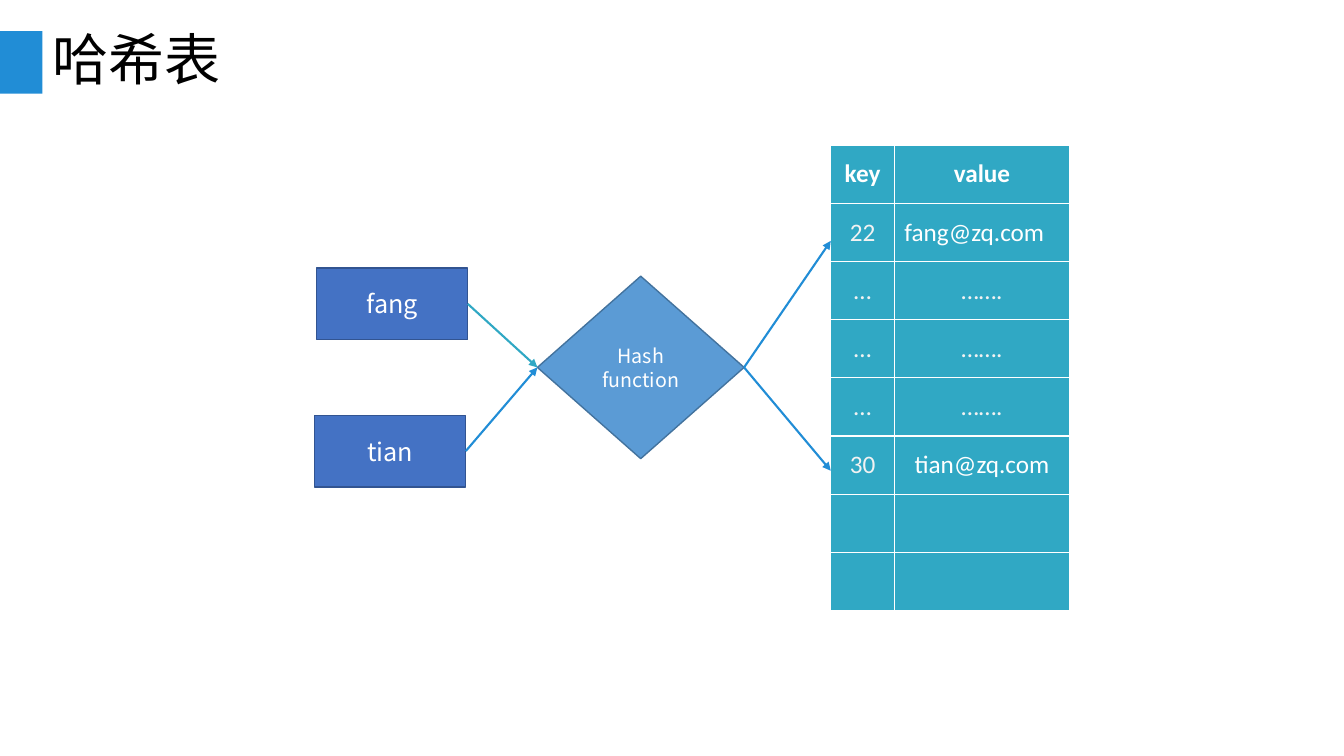
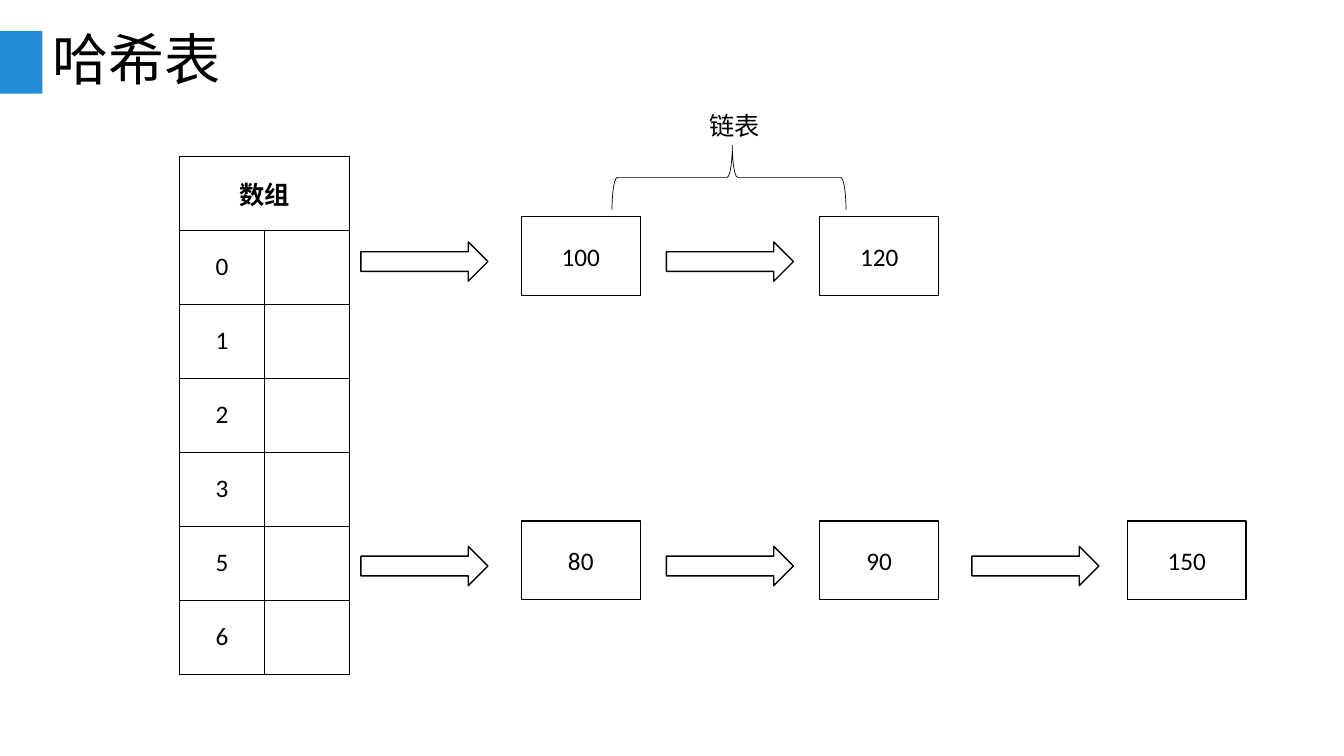
"""Build two slides that explain hash tables: key lookup and chained buckets."""
from lxml import etree
from pptx import Presentation
from pptx.dml.color import RGBColor
from pptx.enum.shapes import MSO_CONNECTOR, MSO_SHAPE
from pptx.enum.text import MSO_ANCHOR, MSO_AUTO_SIZE, PP_ALIGN
from pptx.oxml.ns import qn
from pptx.util import Inches, Pt

LEFT, CENTER = PP_ALIGN.LEFT, PP_ALIGN.CENTER
TOP, MIDDLE = MSO_ANCHOR.TOP, MSO_ANCHOR.MIDDLE
RECT, DIAMOND = MSO_SHAPE.RECTANGLE, MSO_SHAPE.DIAMOND
ARROW, BRACE = MSO_SHAPE.RIGHT_ARROW, MSO_SHAPE.LEFT_BRACE
STRAIGHT = MSO_CONNECTOR.STRAIGHT
NO_FIT = MSO_AUTO_SIZE.NONE
LEFT_SITE, RIGHT_SITE = 1, 3

SANS, LATIN = "Noto Sans CJK SC", "Calibri"
COLORS = {
    "accent": "218DD6", "teal": "30A8C4", "key": "4472C4", "key_edge": "325491",
    "hash": "5B9BD5", "hash_edge": "43739E", "white": "FFFFFF",
    "pale": "F2F2F2", "black": "000000",
}

TITLE = "哈希表"
KEYS = [("fang", 3.14, 2.66, "teal"), ("tian", 3.12, 4.12, "accent")]
HASH_LABEL = "Hash function"
LOOKUP = [
    ("key", "value"),
    ("22", "fang@zq.com"),
    ("…", "……."),
    ("…", "……."),
    ("…", "……."),
    ("30", "tian@zq.com"),
    ("", ""),
    ("", ""),
]
LOOKUP_LEFT = 8.24
HIT_HEIGHTS = (2.39, 4.67)

ARRAY = [("数组", "")] + [(index, "") for index in "012356"]
LIST_LABEL = "链表"
CHAINS = [(2.15, ("100", "120")), (5.17, ("80", "90", "150"))]
NODE_LEFTS = (5.17, 8.13, 11.18)
LINK_LEFT, LINK_STEP, LINK_DROP = 3.58, 3.03, 0.25


def rgb(name):
    return RGBColor.from_string(COLORS[name])


def write(frame, text, size=18, color="black", font=LATIN, bold=False,
          align=CENTER, anchor=MIDDLE, spacing=None):
    frame.word_wrap = True
    frame.vertical_anchor = anchor
    paragraph = frame.paragraphs[0]
    paragraph.alignment = align
    paragraph.line_spacing = spacing
    run = paragraph.add_run()
    run.text = text
    run.font.size = Pt(size)
    run.font.bold = bold
    run.font.name = font
    run.font.color.rgb = rgb(color)
    east_asian = etree.SubElement(run._r.get_or_add_rPr(), qn("a:ea"))
    east_asian.set("typeface", SANS)


def add_block(slide, kind, box, fill=None, edge=None, weight=1):
    block = slide.shapes.add_shape(kind, *map(Inches, box))
    block.shadow.inherit = False
    if fill:
        block.fill.solid()
        block.fill.fore_color.rgb = rgb(fill)
    else:
        block.fill.background()
    if edge:
        block.line.color.rgb = rgb(edge)
        block.line.width = Pt(weight)
    else:
        block.line.fill.background()
    return block


def add_link(slide, start, end, color):
    link = slide.shapes.add_connector(STRAIGHT, *map(Inches, start + end))
    link.line.color.rgb = rgb(color)
    link.line.width = Pt(1.5)
    etree.SubElement(link.line._get_or_add_ln(), qn("a:tailEnd")).set("type", "triangle")
    etree.SubElement(link.element.spPr, qn("a:effectLst"))
    return link


def add_borders(cell, color):
    properties = cell._tc.get_or_add_tcPr()
    for side in ("lnL", "lnR", "lnT", "lnB"):
        border = etree.SubElement(properties, qn("a:" + side), w=str(Pt(1)))
        fill = etree.SubElement(border, qn("a:solidFill"))
        etree.SubElement(fill, qn("a:srgbClr"), val=COLORS[color])


def add_grid(slide, rows, left, top, widths, height, border, fill=None):
    grid = slide.shapes.add_table(
        len(rows), len(widths), Inches(left), Inches(top),
        Inches(sum(widths)), Inches(height)).table
    for column, width in zip(grid.columns, widths):
        column.width = Inches(width)
    for row in grid.rows:
        row.height = Inches(height / len(rows))
    for cell in grid.iter_cells():
        add_borders(cell, border)
        if fill:
            cell.fill.solid()
            cell.fill.fore_color.rgb = rgb(fill)
        else:
            cell.fill.background()
    return grid


def fill_cell(cell, text, **style):
    if text:
        write(cell.text_frame, text, **style)
        cell.vertical_anchor = MIDDLE


def add_titled_slide(deck, layout):
    slide = deck.slides.add_slide(layout)
    title = slide.shapes.title.text_frame
    title.auto_size = NO_FIT
    write(title, TITLE, size=40, font=SANS, align=LEFT, spacing=0.9)
    return slide


def place_template(layout, slide):
    heading = layout.placeholders[0]
    heading.left, heading.top = Inches(0.42), Inches(0.3)
    heading.width, heading.height = Inches(12.5), Inches(0.64)
    band = add_block(slide, RECT, (0, 0.31, 0.42, 0.62), "accent")
    layout.shapes.element.append(band.element)


def draw_lookup(slide):
    hasher = add_block(slide, DIAMOND, (5.33, 2.74, 2.05, 1.81), "hash", "hash_edge")
    write(hasher.text_frame, HASH_LABEL, size=14, color="white", font=SANS)
    for name, left, top, color in KEYS:
        key = add_block(slide, RECT, (left, top, 1.5, 0.71), "key", "key_edge")
        write(key.text_frame, name, color="white", font=SANS)
        link = add_link(slide, (left, top), (5.33, 3.65), color)
        link.begin_connect(key, RIGHT_SITE)
        link.end_connect(hasher, LEFT_SITE)
    grid = add_grid(slide, LOOKUP, LOOKUP_LEFT, 1.44, (0.63, 1.74), 4.62, "white", "teal")
    for r, entry in enumerate(LOOKUP):
        for c, text in enumerate(entry):
            strong = r == 0 or "@" in text
            fill_cell(grid.cell(r, c), text, bold=r == 0,
                      color="white" if strong else "pale",
                      align=LEFT if (r, c) == (1, 1) else CENTER)
    for height in HIT_HEIGHTS:
        link = add_link(slide, (7.38, 3.65), (LOOKUP_LEFT, height), "accent")
        link.begin_connect(hasher, RIGHT_SITE)


def draw_chains(slide):
    grid = add_grid(slide, ARRAY, 1.78, 1.55, (0.845, 0.845), 5.14, "black")
    grid.cell(0, 0).merge(grid.cell(0, 1))
    for r, (text, _) in enumerate(ARRAY):
        fill_cell(grid.cell(r, 0), text, bold=r == 0)
    for top, values in CHAINS:
        for i, value in enumerate(values):
            add_block(slide, ARROW, (LINK_LEFT + i * LINK_STEP, top + LINK_DROP, 1.26, 0.39),
                      "white", "black")
            node = add_block(slide, RECT, (NODE_LEFTS[i], top, 1.18, 0.78), "white", "black")
            write(node.text_frame, value)
    brace = add_block(slide, BRACE, (6.91, 0.6, 0.64, 2.32), edge="black", weight=0.5)
    brace.rotation = 90
    brace.adjustments[0], brace.adjustments[1] = 0.083, 0.486
    label = slide.shapes.add_textbox(*map(Inches, (6.9, 1.05, 0.77, 0.4)))
    write(label.text_frame, LIST_LABEL, font=SANS, anchor=TOP)


def main():
    deck = Presentation()
    deck.slide_width, deck.slide_height = Inches(13.33), Inches(7.5)
    layout = deck.slide_layouts[5]
    lookup = add_titled_slide(deck, layout)
    place_template(layout, lookup)
    draw_lookup(lookup)
    draw_chains(add_titled_slide(deck, layout))
    deck.save("out.pptx")


main()
